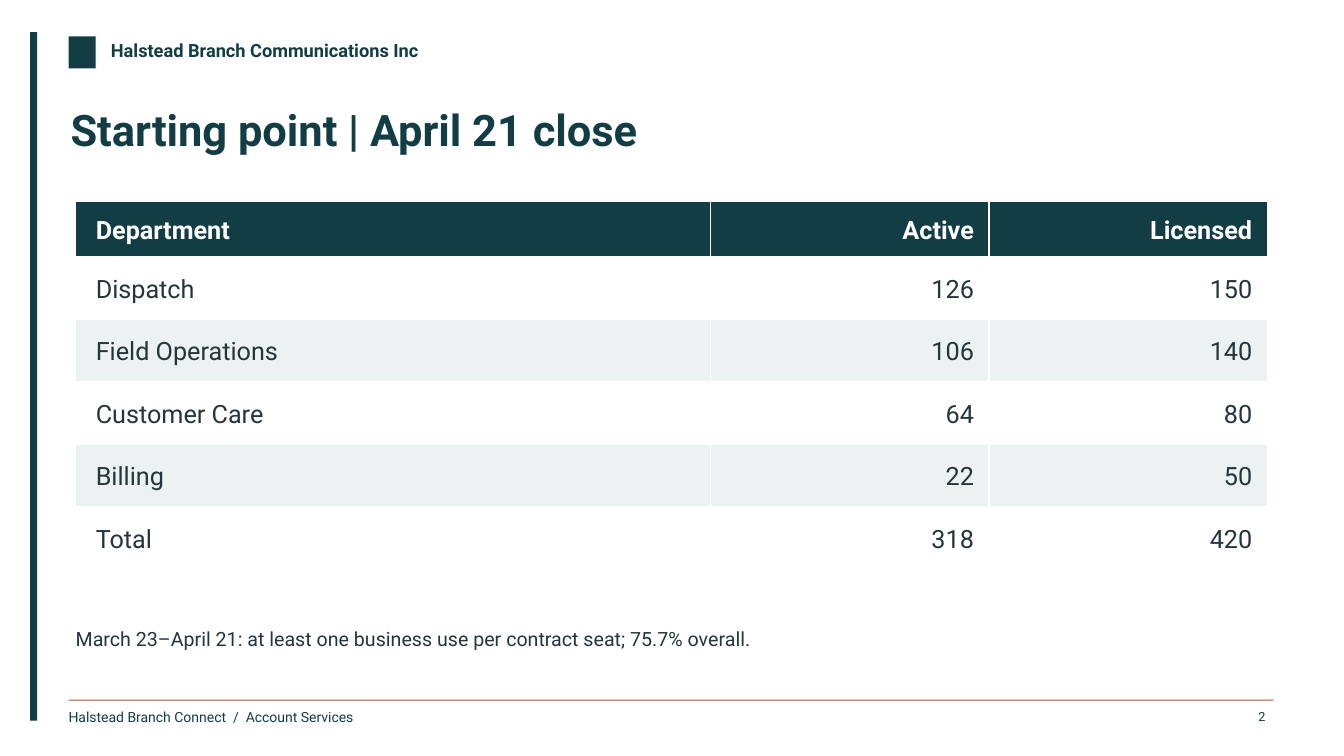
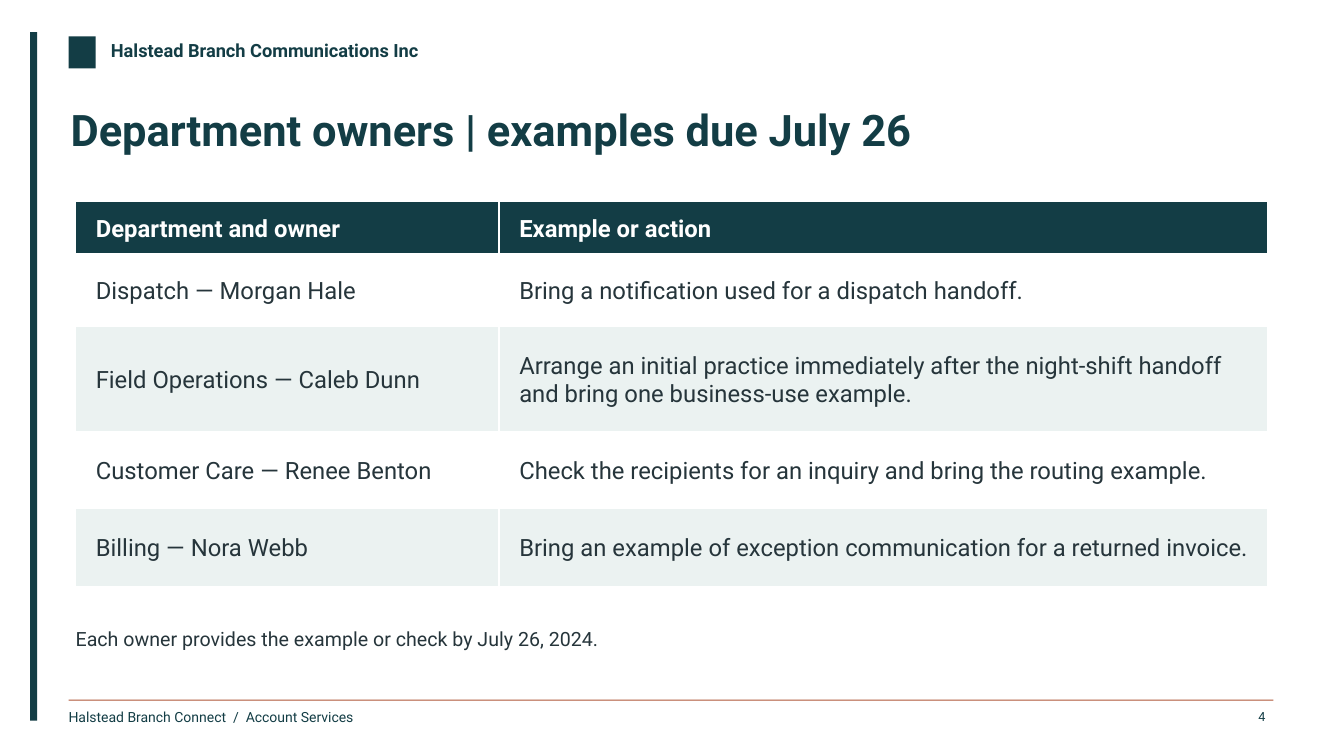
from pptx import Presentation
from pptx.dml.color import RGBColor
from pptx.enum.shapes import MSO_SHAPE as Shape
from pptx.enum.text import MSO_ANCHOR as Anchor, MSO_AUTO_SIZE as AutoSize, PP_ALIGN as Align
from pptx.oxml.ns import qn
from pptx.util import Inches, Pt

# Shared look
FONT = "Roboto"
TEAL, RUST, INK = "133D45", "AF5636", "26353B"
WHITE, BAND = "FFFFFF", "EBF2F1"
TITLE = {"size": Pt(31), "bold": True}
COMPANY = {"size": Pt(13), "bold": True}
FOOTER = {"size": Pt(10), "bold": False}
NUMBER = {"size": Pt(9), "bold": False}
NOTE = {"size": Pt(14), "bold": False}
CELL_MARGINS = {"margin_left": 0.2, "margin_top": 0.07,
                "margin_right": 0.15, "margin_bottom": 0.04}
TABLE_LEFT, TABLE_TOP, TABLE_WIDTH = 0.75, 2, 11.82


def color(value):
    return RGBColor.from_string(value)


def set_attributes(target, values):
    for name, value in values.items():
        setattr(target, name, value)


def write(frame, text, style, ink, align=Align.LEFT):
    """Put one formatted paragraph in a text frame."""
    frame.text = text
    para = frame.paragraphs[0]
    set_attributes(para, {"alignment": align, "space_before": Pt(0)})
    set_attributes(para.runs[0].font, {"name": FONT, **style})
    para.runs[0].font.color.rgb = color(ink)
    return para


def clear_frame(frame, wrap):
    set_attributes(frame, {
        "margin_left": 0, "margin_top": 0, "margin_right": 0, "margin_bottom": 0,
        "word_wrap": wrap, "auto_size": AutoSize.NONE, "vertical_anchor": Anchor.TOP})


def add_block(page, left, top, width, height, fill):
    block = page.shapes.add_shape(
        Shape.RECTANGLE, Inches(left), Inches(top), Inches(width), Inches(height))
    block.shadow.inherit = False
    block.fill.solid()
    block.fill.fore_color.rgb = color(fill)
    block.line.fill.background()


def add_label(page, left, top, width, height, text, style, align=Align.LEFT):
    box = page.shapes.add_textbox(
        Inches(left), Inches(top), Inches(width), Inches(height))
    clear_frame(box.text_frame, False)
    write(box.text_frame, text, style, TEAL, align)


def fill_placeholder(holder, left, top, width, height, text, style, ink):
    set_attributes(holder, {"left": Inches(left), "top": Inches(top),
                            "width": Inches(width), "height": Inches(height)})
    clear_frame(holder.text_frame, True)
    return write(holder.text_frame, text, style, ink)


def remove_bullet(para):
    properties = para._p.get_or_add_pPr()
    properties.set("marL", "0")
    properties.set("indent", "0")
    properties.append(properties.makeelement(qn("a:buNone"), {}))


def add_frame(page, number):
    """Draw the side band, company header and footer."""
    add_block(page, 0.3, 0.32, 0.07, 6.83, TEAL)
    add_block(page, 0.68, 0.36, 0.27, 0.32, TEAL)
    add_label(page, 1.1, 0.39, 3.55, 0.27, "Halstead Branch Communications Inc", COMPANY)
    add_block(page, 0.68, 6.94, 11.95, 0.01, RUST)
    add_label(page, 0.68, 7.03, 2.6, 0.23,
              "Halstead Branch Connect  /  Account Services", FOOTER)
    add_label(page, 11.8, 7.03, 0.75, 0.25, str(number), NUMBER, Align.RIGHT)


def add_banded_table(page, rows, widths, heights, size, aligns):
    """The default table style supplies the white rules between cells."""
    table = page.shapes.add_table(
        len(rows), len(widths), Inches(TABLE_LEFT), Inches(TABLE_TOP),
        Inches(TABLE_WIDTH), Inches(sum(heights))).table
    table.horz_banding = False
    for column, width in zip(table.columns, widths):
        column.width = Inches(width)
    for index, (row, height, texts) in enumerate(zip(table.rows, heights, rows)):
        row.height = Inches(height)
        header = index == 0
        fill = TEAL if header else (BAND, WHITE)[index % 2]
        for cell, text, align in zip(row.cells, texts, aligns):
            cell.fill.solid()
            cell.fill.fore_color.rgb = color(fill)
            cell.vertical_anchor = Anchor.MIDDLE
            set_attributes(cell, {side: Inches(gap) for side, gap in CELL_MARGINS.items()})
            write(cell.text_frame, text, {"size": Pt(size), "bold": header},
                  WHITE if header else INK, align)


def add_page(deck, number, title, note, **table):
    page = deck.slides.add_slide(deck.slide_layouts[1])
    add_frame(page, number)
    fill_placeholder(page.shapes.title, 0.7, 1.02, 11.9, 0.86, title, TITLE, TEAL)
    para = fill_placeholder(page.placeholders[1], TABLE_LEFT, 6.22, TABLE_WIDTH, 0.44,
                            note, NOTE, INK)
    remove_bullet(para)
    add_banded_table(page, **table)


def main():
    deck = Presentation()
    set_attributes(deck, {"slide_width": Inches(13.33), "slide_height": Inches(7.5)})

    # Seat counts by department
    add_page(
        deck, 2, "Starting point | April 21 close",
        "March 23–April 21: at least one business use per contract seat; 75.7% overall.",
        rows=[("Department", "Active", "Licensed"),
              ("Dispatch", "126", "150"),
              ("Field Operations", "106", "140"),
              ("Customer Care", "64", "80"),
              ("Billing", "22", "50"),
              ("Total", "318", "420")],
        widths=[6.3, 2.76, 2.76], heights=[0.55] + [0.62] * 5, size=18,
        aligns=[Align.LEFT, Align.RIGHT, Align.RIGHT])

    # Owners and their actions
    add_page(
        deck, 4, "Department owners | examples due July 26",
        "Each owner provides the example or check by July 26, 2024.",
        rows=[("Department and owner", "Example or action"),
              ("Dispatch — Morgan Hale",
               "Bring a notification used for a dispatch handoff."),
              ("Field Operations — Caleb Dunn",
               "Arrange an initial practice immediately after the night-shift handoff "
               "and bring one business-use example."),
              ("Customer Care — Renee Benton",
               "Check the recipients for an inquiry and bring the routing example."),
              ("Billing — Nora Webb",
               "Bring an example of exception communication for a returned invoice.")],
        widths=[4.2, 7.62], heights=[0.52, 0.72, 1.04, 0.76, 0.78], size=17,
        aligns=[Align.LEFT, Align.LEFT])

    deck.save("out.pptx")


if __name__ == "__main__":
    main()
